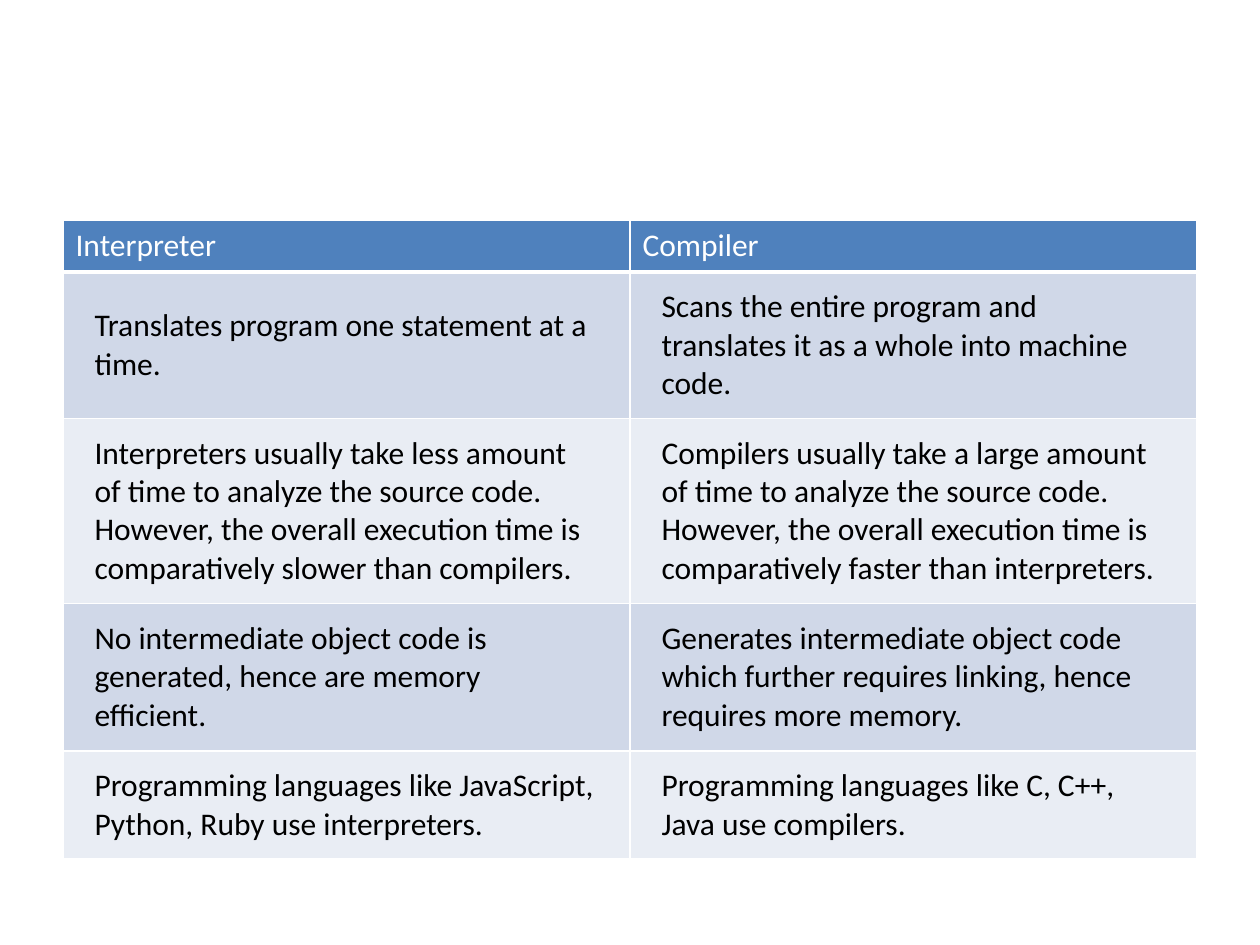
from lxml.etree import SubElement
from pptx import Presentation
from pptx.dml.color import RGBColor
from pptx.enum.text import MSO_ANCHOR
from pptx.oxml.ns import qn
from pptx.util import Inches, Pt

WHITE = RGBColor(0xFF, 0xFF, 0xFF)
BLACK = RGBColor(0x00, 0x00, 0x00)
BLUE = RGBColor(0x4F, 0x81, 0xBD)
BANDS = [RGBColor(0xD0, 0xD8, 0xE8), RGBColor(0xE9, 0xED, 0xF4)]

FONT = {"name": "Calibri", "size": Pt(18), "bold": False}
BODY = {
    "vertical_anchor": MSO_ANCHOR.MIDDLE,
    "margin_left": Inches(0.25),
    "margin_right": Inches(0.25),
    "margin_top": Inches(0.12),
    "margin_bottom": Inches(0.12),
}
HEIGHTS = [0.41, 1.16, 1.47, 1.17, 0.86]
ROWS = [
    ("Interpreter", "Compiler"),
    ("Translates program one statement at a time.",
     "Scans the entire program and translates it as a whole into machine code."),
    ("Interpreters usually take less amount of time to analyze the source code. "
     "However, the overall execution time is comparatively slower than compilers.",
     "Compilers usually take a large amount of time to analyze the source code. "
     "However, the overall execution time is comparatively faster than interpreters."),
    ("No intermediate object code is generated, hence are memory efficient.",
     "Generates intermediate object code which further requires linking, "
     "hence requires more memory."),
    ("Programming languages like JavaScript, Python, Ruby use interpreters.",
     "Programming languages like C, C++, Java use compilers."),
]


def apply(target, values):
    for name, value in values.items():
        setattr(target, name, value)


def add_borders(cell, widths):
    """Draw white cell edges; widths maps L, R, T, B to points."""
    props = cell._tc.get_or_add_tcPr()
    for side, width in widths.items():
        line = SubElement(props, qn(f"a:ln{side}"), w=str(Pt(width)))
        fill = SubElement(line, qn("a:solidFill"))
        SubElement(fill, qn("a:srgbClr"), val=str(WHITE))


def fill_cell(cell, text, row):
    head = row == 0
    add_borders(cell, {"L": 1, "R": 1, "T": 3 if row == 1 else 1, "B": 3 if head else 1})
    cell.fill.solid()
    cell.fill.fore_color.rgb = BLUE if head else BANDS[(row - 1) % 2]
    if not head:
        apply(cell, BODY)
    run = cell.text_frame.paragraphs[0].add_run()
    run.text = text
    apply(run.font, FONT)
    run.font.color.rgb = WHITE if head else BLACK


def add_grid(slide):
    frame = slide.shapes.add_table(
        len(ROWS), 2, Inches(0.5), Inches(1.75), Inches(9), Inches(sum(HEIGHTS)))
    table = frame.table
    for row, (height, texts) in enumerate(zip(HEIGHTS, ROWS)):
        table.rows[row].height = Inches(height)
        for col, text in enumerate(texts):
            fill_cell(table.cell(row, col), text, row)


def main():
    deck = Presentation()
    apply(deck, {"slide_width": Inches(10), "slide_height": Inches(7.5)})
    add_grid(deck.slides.add_slide(deck.slide_layouts[6]))
    deck.save("out.pptx")


if __name__ == "__main__":
    main()
